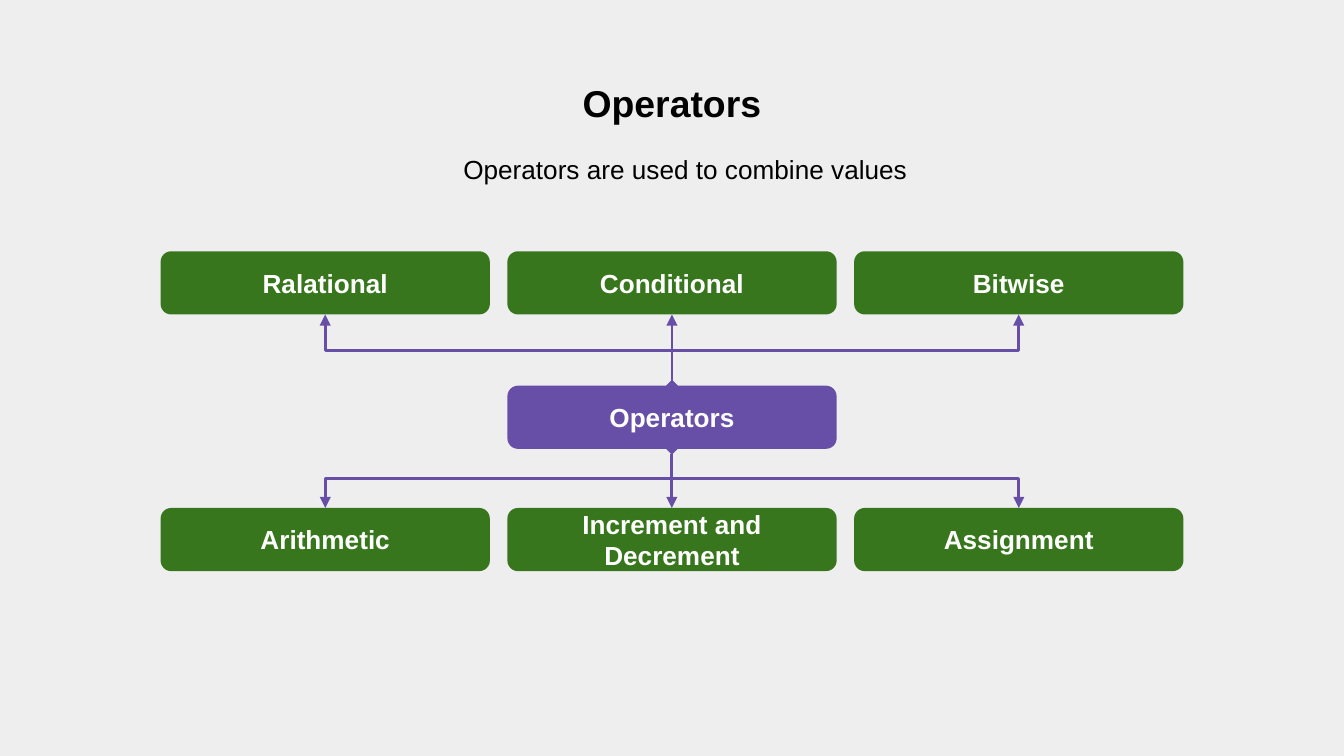
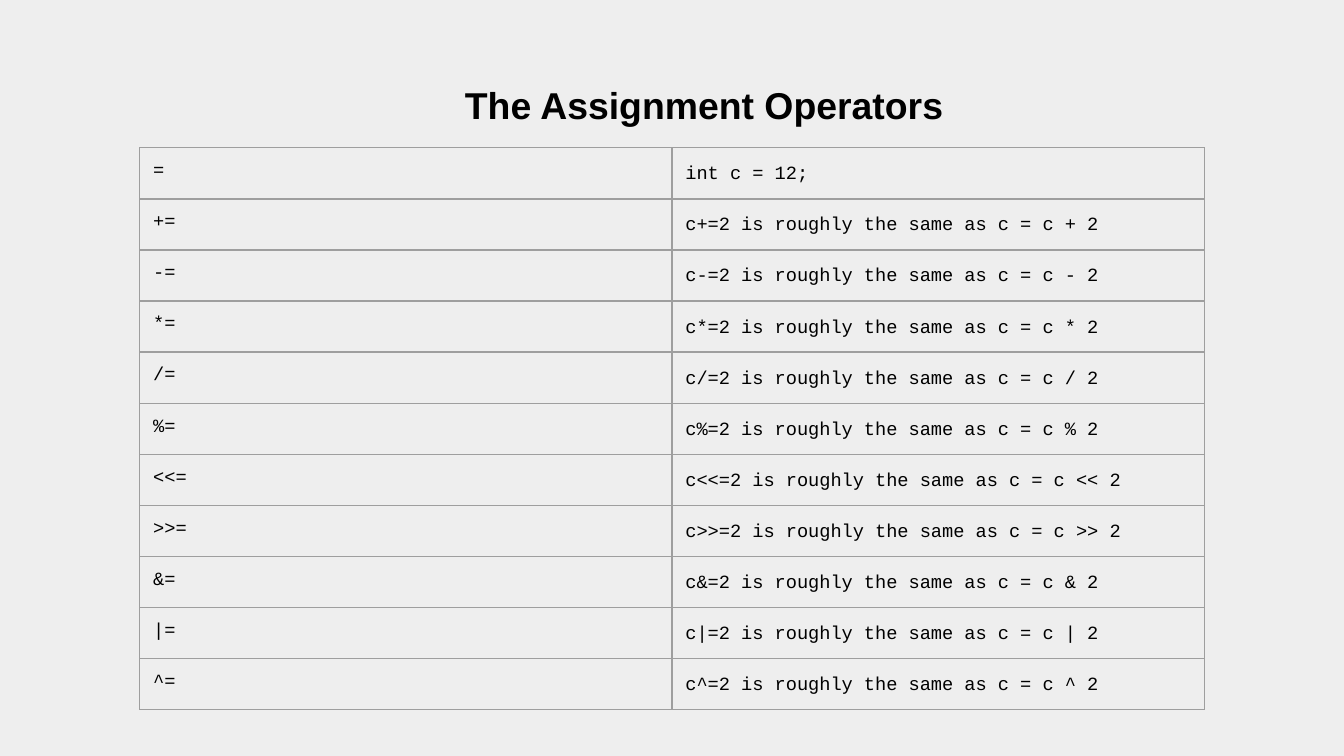
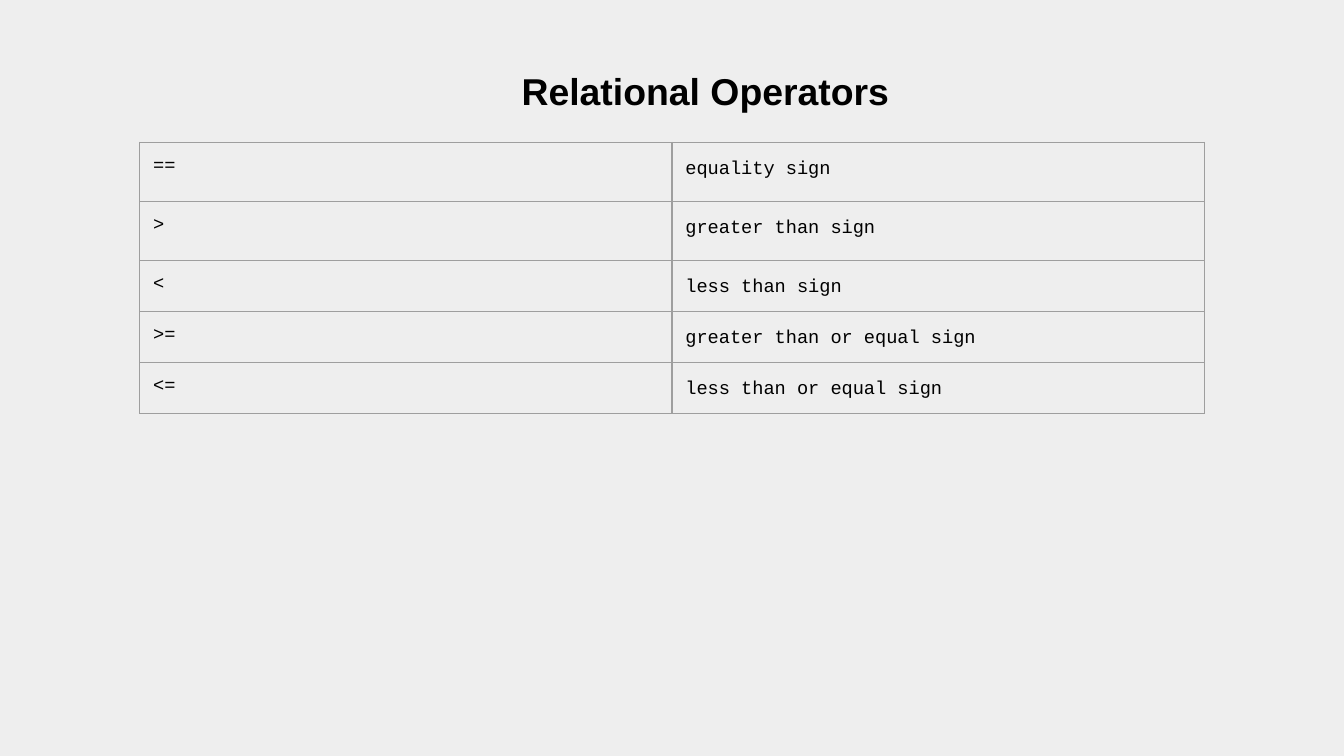
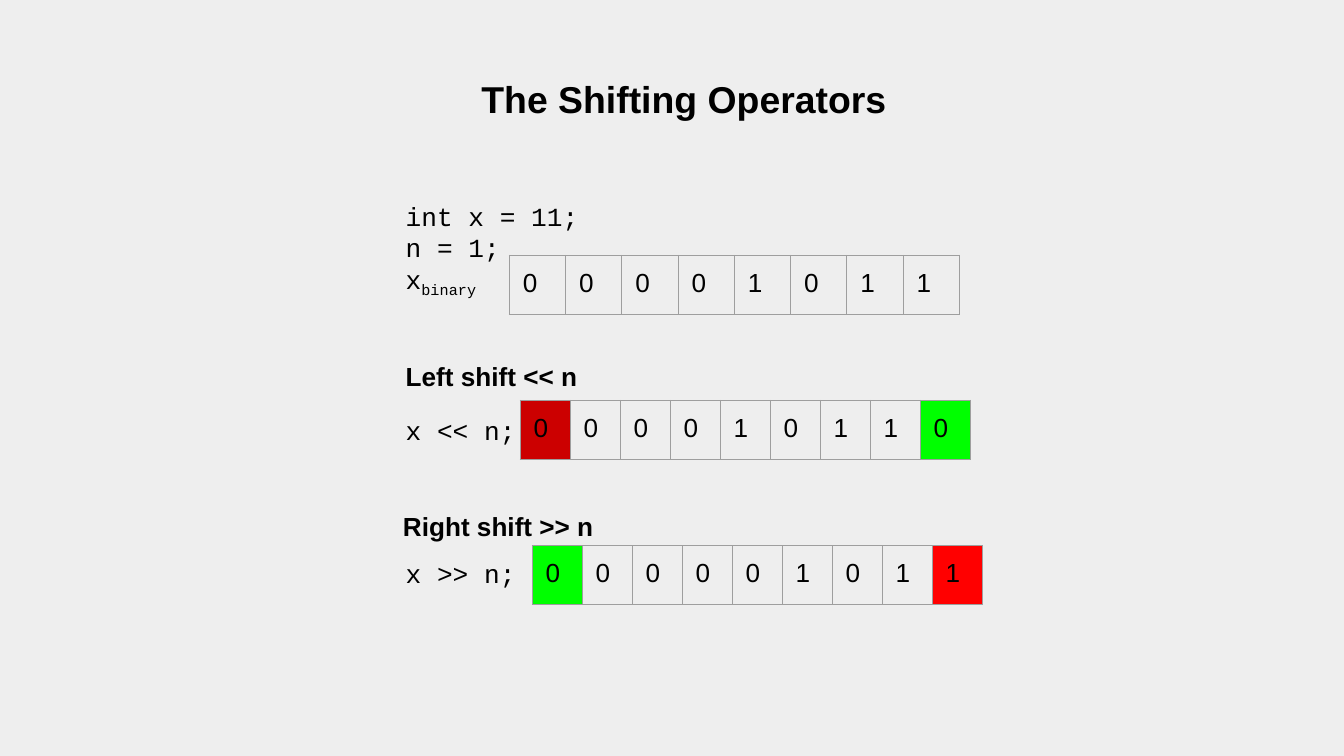
from lxml import etree
from pptx import Presentation
from pptx.dml.color import RGBColor
from pptx.enum.shapes import MSO_CONNECTOR, MSO_SHAPE
from pptx.enum.text import MSO_ANCHOR, PP_ALIGN
from pptx.oxml import parse_xml
from pptx.oxml.ns import nsdecls, qn
from pptx.util import Inches, Pt

ELBOW = MSO_CONNECTOR.ELBOW
ROUNDED = MSO_SHAPE.ROUNDED_RECTANGLE
MIDDLE = MSO_ANCHOR.MIDDLE
LEFT, CENTER = PP_ALIGN.LEFT, PP_ALIGN.CENTER

BACKGROUND = RGBColor(0xEE, 0xEE, 0xEE)
BLACK = RGBColor(0, 0, 0)
WHITE = RGBColor(0xFF, 0xFF, 0xFF)
GREEN = RGBColor(0x38, 0x76, 0x1D)
PURPLE = RGBColor(0x67, 0x4E, 0xA7)
BORDER = RGBColor(0x9E, 0x9E, 0x9E)
DARK_RED = RGBColor(0xCC, 0, 0)
RED = RGBColor(0xFF, 0, 0)
LIME = RGBColor(0, 0xFF, 0)

SANS, MONO = "Arial", "Courier New"
PAD = Inches(0.1)
WIDTH, HEIGHT = 10, 10 * 9 / 16


def add_text(tf, lines, size=14, font=SANS, bold=False, color=BLACK, align=LEFT, spacing=None):
    """Write lines, each a list of runs; every run after the first is a subscript."""
    tf.word_wrap = True
    for i, runs in enumerate(lines):
        p = tf.paragraphs[0] if i == 0 else tf.add_paragraph()
        p.alignment = align
        if spacing:
            p.line_spacing = spacing
        for j, text in enumerate(runs):
            r = p.add_run()
            r.text = text
            r.font.size, r.font.name, r.font.bold = Pt(size), font, bold
            r.font.color.rgb = color
            if j:
                r.font._element.set("baseline", "-25000")


def add_grid(s, left, top, width, heights, rows, size, font, spacings, fills):
    """Add a bordered table with equal columns; fills maps a column to its colour."""
    n = len(rows[0])
    table = s.shapes.add_table(len(rows), n, Inches(left), Inches(top),
                               Inches(width), Inches(sum(heights))).table
    table.first_row = table.horz_banding = False
    for column in table.columns:
        column.width = Inches(width / n)
    for i, row in enumerate(rows):
        table.rows[i].height = Inches(heights[i])
        for j, text in enumerate(row):
            cell = table.cell(i, j)
            cell.margin_left = cell.margin_right = cell.margin_top = PAD
            cell.margin_bottom = Inches(0.08)  # keeps the rows from growing
            tcPr = cell._tc.get_or_add_tcPr()
            for side in ("lnL", "lnR", "lnT", "lnB"):
                tcPr.append(parse_xml(
                    f'<a:{side} {nsdecls("a")} w="{Pt(0.75)}"><a:solidFill>'
                    f'<a:srgbClr val="{BORDER}"/></a:solidFill></a:{side}>'))
            if j in fills:
                cell.fill.solid()
                cell.fill.fore_color.rgb = fills[j]
            else:
                cell.fill.background()
            add_text(cell.text_frame, [[text]], size, font, spacing=spacings[j])


prs = Presentation()
prs.slide_width, prs.slide_height = Inches(WIDTH), Inches(HEIGHT)
fill = prs.slide_master.background.fill
fill.solid()
fill.fore_color.rgb = BACKGROUND

# Slides and text boxes: left, top, width, height, lines, style
TITLE = dict(size=20, bold=True, align=CENTER, spacing=1.15)
CODE = dict(font=MONO)
HEADING = dict(bold=True)
SLIDES = [
    [(0, 0.45, WIDTH, 0.63, [["Operators"]], TITLE),
     (0.97, 1.04, 8.26, 0.44, [["Operators are used to combine values"]], dict(align=CENTER))],
    [(0.33, 0.46, 9.32, 0.63, [["The Assignment Operators"]], TITLE)],
    [(0, 0.36, WIDTH, 0.63, [["Relational Operators"]], TITLE)],
    [(0.43, 0.42, 9.32, 0.63, [["The Shifting Operators"]], TITLE),
     (2.92, 1.39, 1.55, 0.91, [["int x = 11;"], ["n = 1;"], ["x", "binary"]], CODE),
     (2.92, 2.98, 1.06, 0.44, [["x << n;"]], CODE),
     (2.92, 2.58, 2.4, 0.44, [["Left shift << n"]], HEADING),
     (2.92, 4.05, 1.06, 0.44, [["x >> n;"]], CODE),
     (2.9, 3.7, 2.43, 0.44, [["Right shift >> n"]], HEADING)],
]
slides = []
for boxes in SLIDES:
    s = prs.slides.add_slide(prs.slide_layouts[6])
    slides.append(s)
    for left, top, width, height, lines, style in boxes:
        tf = s.shapes.add_textbox(Inches(left), Inches(top), Inches(width), Inches(height)).text_frame
        tf.margin_left = tf.margin_right = tf.margin_top = tf.margin_bottom = PAD
        add_text(tf, lines, **style)
overview, assignment, relational, shifting = slides

# The titles above the two-column tables are indented
for s in (assignment, relational):
    pPr = s.shapes[0].text_frame.paragraphs[0]._p.get_or_add_pPr()
    pPr.set("marL", str(Inches(0.5)))
    pPr.set("indent", "0")

# Operator families: boxes on a grid of three columns and three rows
BOX_W, BOX_H = 2.45, 0.47
STEP = 2.58
CENTERS = [WIDTH / 2 + k * STEP for k in (-1, 0, 1)]
UPPER, HUB, LOWER = 1.87, 2.87, 3.78
FAMILIES = [
    (1, HUB, "Operators", PURPLE),
    (1, LOWER, "Increment and Decrement", GREEN),
    (0, LOWER, "Arithmetic", GREEN),
    (2, LOWER, "Assignment", GREEN),
    (0, UPPER, "Ralational", GREEN),
    (1, UPPER, "Conditional", GREEN),
    (2, UPPER, "Bitwise", GREEN),
]
for column, top, name, color in FAMILIES:
    sp = overview.shapes.add_shape(ROUNDED, Inches(CENTERS[column] - BOX_W / 2), Inches(top),
                                   Inches(BOX_W), Inches(BOX_H))
    sp.shadow.inherit = False
    sp.fill.solid()
    sp.fill.fore_color.rgb = color
    sp.line.fill.background()
    tf = sp.text_frame
    tf.margin_left = tf.margin_right = tf.margin_top = tf.margin_bottom = PAD
    tf.vertical_anchor = MIDDLE
    add_text(tf, [[name]], bold=True, color=WHITE, align=CENTER)

# Elbow arrows from the hub, turned a quarter so that they leave it vertically
for y1, y2 in ((HUB + BOX_H, LOWER), (HUB, UPPER + BOX_H)):
    for x2 in CENTERS:
        dx, dy = x2 - WIDTH / 2, y2 - y1
        mid_x, mid_y = WIDTH / 2 + dx / 2, (y1 + y2) / 2
        half_w, half_h = abs(dy) / 2, abs(dx) / 2
        if (dx < 0) != (dy > 0):
            half_w = -half_w
        c = overview.shapes.add_connector(ELBOW, Inches(mid_x - half_w), Inches(mid_y - half_h),
                                          Inches(mid_x + half_w), Inches(mid_y + half_h))
        c.line.color.rgb = PURPLE
        c.line.width = Pt(1.5)
        spPr = c._element.spPr
        spPr.find(qn("a:xfrm")).set("rot", str((90 if dx < 0 else 270) * 60000))
        ln = spPr.find(qn("a:ln"))
        etree.SubElement(ln, qn("a:headEnd"), type="diamond")
        etree.SubElement(ln, qn("a:tailEnd"), type="triangle")
        etree.SubElement(spPr, qn("a:effectLst"))

# Assignment operators
rows = [("=", "int c = 12;")]
for op in ("+", "-", "*", "/", "%", "<<", ">>", "&", "|", "^"):
    rows.append((f"{op}=", f"c{op}=2 is roughly the same as c = c {op} 2"))
TABLE_X, TABLE_W = 1.04, 7.92
TALL, LOW = 0.44, 0.38
add_grid(assignment, TABLE_X, 1.1, TABLE_W, [LOW] * len(rows), rows, 10, MONO, (None, 1.15), {})

# Relational operators
rows = [
    ("==", "equality sign"),
    (">", "greater than sign"),
    ("<", "less than sign"),
    (">=", "greater than or equal sign"),
    ("<=", "less than or equal sign"),
]
add_grid(relational, TABLE_X, 1.06, TABLE_W, [TALL] * 2 + [LOW] * 3, rows, 10, MONO,
         (None, 1.15), {})

# Bit rows: bits shifted out are red, bits shifted in are green
for left, top, bits, fills in (
    (3.79, 1.9, "00001011", {}),
    (3.87, 2.98, "000010110", {0: DARK_RED, 8: LIME}),
    (3.96, 4.06, "000001011", {0: LIME, 8: RED}),
):
    add_grid(shifting, left, top, 3.35, [TALL], [bits], 14, SANS, [None] * len(bits), fills)

prs.save("out.pptx")
